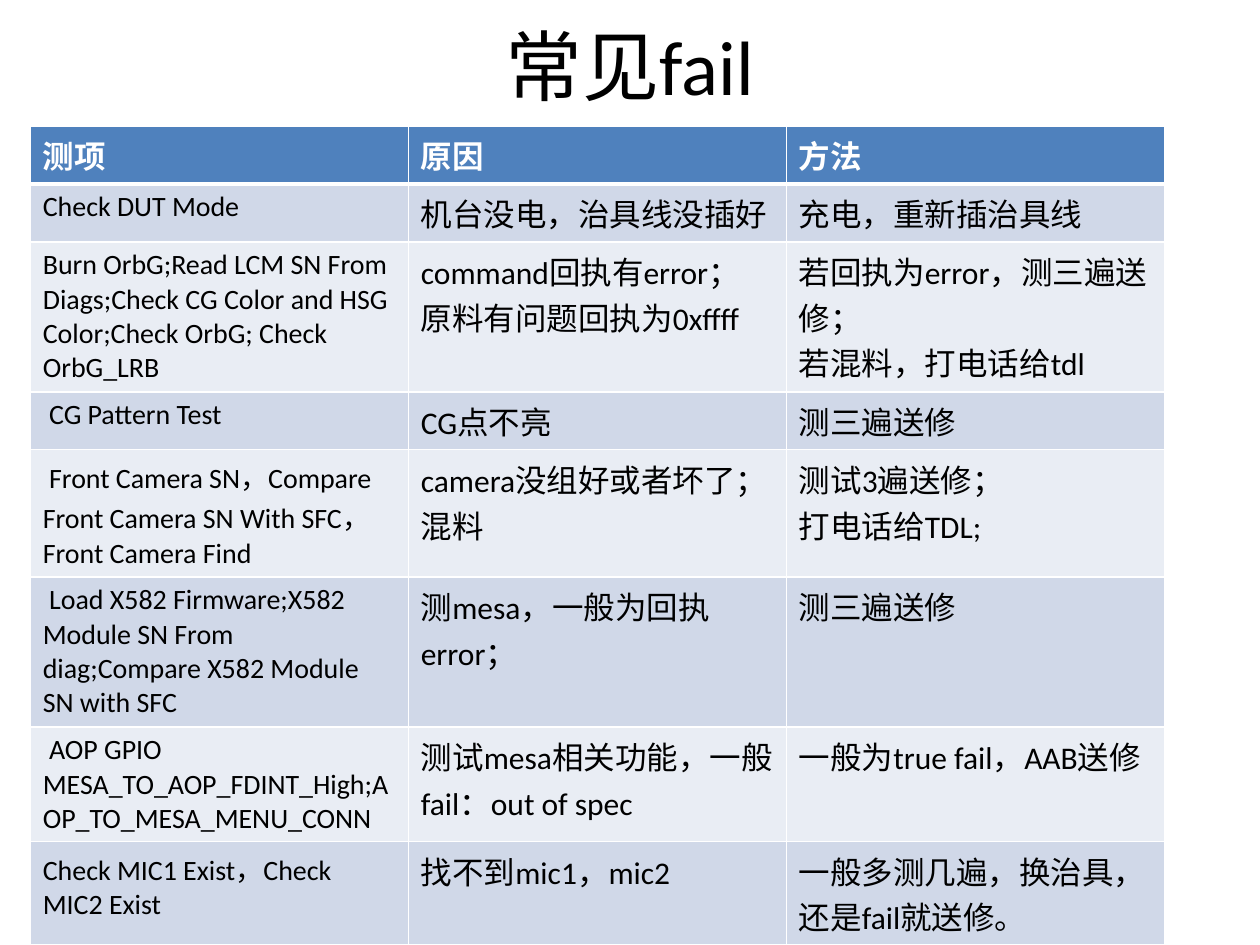
"""Build the slide listing common test failures, their causes and remedies."""
from typing import NamedTuple

from lxml import etree
from pptx import Presentation
from pptx import util as u
from pptx.dml.color import RGBColor
from pptx.enum import text
from pptx.oxml import ns

FONT = "Calibri"
BLACK = RGBColor(0x00, 0x00, 0x00)
WHITE = RGBColor(0xFF, 0xFF, 0xFF)
HEADER_BLUE = RGBColor(0x4F, 0x81, 0xBD)
BANDS = (RGBColor(0xD0, 0xD8, 0xE8), RGBColor(0xE9, 0xED, 0xF4))


class Failure(NamedTuple):
    test_item: str
    cause: str
    remedy: str


class Row(NamedTuple):
    height: float
    failure: Failure


HEADER = Row(0.46, Failure("测项", "原因", "方法"))
FAILURES = [
    Row(0.46, Failure("Check DUT Mode", "机台没电，治具线没插好", "充电，重新插治具线")),
    Row(1.19, Failure(
        "Burn OrbG;Read LCM SN From Diags;Check CG Color and HSG Color;"
        "Check OrbG; Check OrbG_LRB",
        "command回执有error；\n原料有问题回执为0xffff",
        "若回执为error，测三遍送修；\n若混料，打电话给tdl",
    )),
    Row(0.46, Failure(" CG Pattern Test", "CG点不亮", "测三遍送修")),
    Row(1.01, Failure(
        " Front Camera SN，Compare Front Camera SN With SFC，Front Camera Find",
        "camera没组好或者坏了；混料",
        "测试3遍送修；\n打电话给TDL;",
    )),
    Row(1.19, Failure(
        " Load X582 Firmware;X582 Module SN From diag;"
        "Compare X582 Module SN with SFC",
        "测mesa，一般为回执error；",
        "测三遍送修",
    )),
    Row(0.91, Failure(
        " AOP GPIO MESA_TO_AOP_FDINT_High;AOP_TO_MESA_MENU_CONN",
        "测试mesa相关功能，一般fail：out of spec",
        "一般为true fail，AAB送修",
    )),
    Row(0.82, Failure(
        "Check MIC1 Exist，Check MIC2 Exist",
        "找不到mic1，mic2",
        "一般多测几遍，换治具，还是fail就送修。",
    )),
]


def write(frame, content: str, size: int, color: RGBColor, bold: bool = False,
          align=text.PP_ALIGN.LEFT) -> None:
    """Write each line of content as one paragraph."""
    for index, line in enumerate(content.split("\n")):
        paragraph = frame.add_paragraph() if index else frame.paragraphs[0]
        paragraph.alignment = align
        run = paragraph.add_run()
        run.text = line
        run.font.name = FONT
        run.font.size = u.Pt(size)
        run.font.bold = bold
        run.font.color.rgb = color


def set_borders(cell, top: int, bottom: int) -> None:
    """Give a cell white borders, with side widths of one point."""
    properties = cell._tc.get_or_add_tcPr()
    widths = {"a:lnL": 1, "a:lnR": 1, "a:lnT": top, "a:lnB": bottom}
    for position, (tag, width) in enumerate(widths.items()):
        line = etree.Element(ns.qn(tag), w=str(u.Pt(width)))
        fill = etree.SubElement(line, ns.qn("a:solidFill"))
        etree.SubElement(fill, ns.qn("a:srgbClr"), val=str(WHITE))
        properties.insert(position, line)


def add_title(slide, content: str) -> None:
    """Add the centred slide title."""
    title = slide.shapes.add_textbox(
        u.Inches(0.5), u.Inches(0.02), u.Inches(9), u.Inches(0.98))
    frame = title.text_frame
    frame.word_wrap = True
    frame.vertical_anchor = text.MSO_ANCHOR.MIDDLE
    write(frame, content, 44, BLACK, align=text.PP_ALIGN.CENTER)


def add_failures(slide, failures: list[Row]) -> None:
    """Add the table of failures with a header and banded rows."""
    rows = [HEADER, *failures]
    table = slide.shapes.add_table(
        len(rows), len(HEADER.failure), u.Inches(0.24), u.Inches(1),
        u.Inches(9), u.Inches(sum(row.height for row in rows))).table
    for r, row in enumerate(rows):
        is_header = r == 0
        table.rows[r].height = u.Inches(row.height)
        for c, content in enumerate(row.failure):
            cell = table.cell(r, c)
            cell.fill.solid()
            cell.fill.fore_color.rgb = HEADER_BLUE if is_header else BANDS[(r - 1) % 2]
            set_borders(cell, top=3 if r == 1 else 1, bottom=3 if is_header else 1)
            size = 16 if c == 0 and not is_header else 18
            write(cell.text_frame, content, size,
                  WHITE if is_header else BLACK, bold=is_header)


def main() -> None:
    """Create and save the presentation."""
    deck = Presentation()
    deck.slide_width, deck.slide_height = u.Inches(10), u.Inches(7.5)
    slide = deck.slides.add_slide(deck.slide_layouts[6])
    add_title(slide, "常见fail")
    add_failures(slide, FAILURES)
    deck.save("out.pptx")


main()
